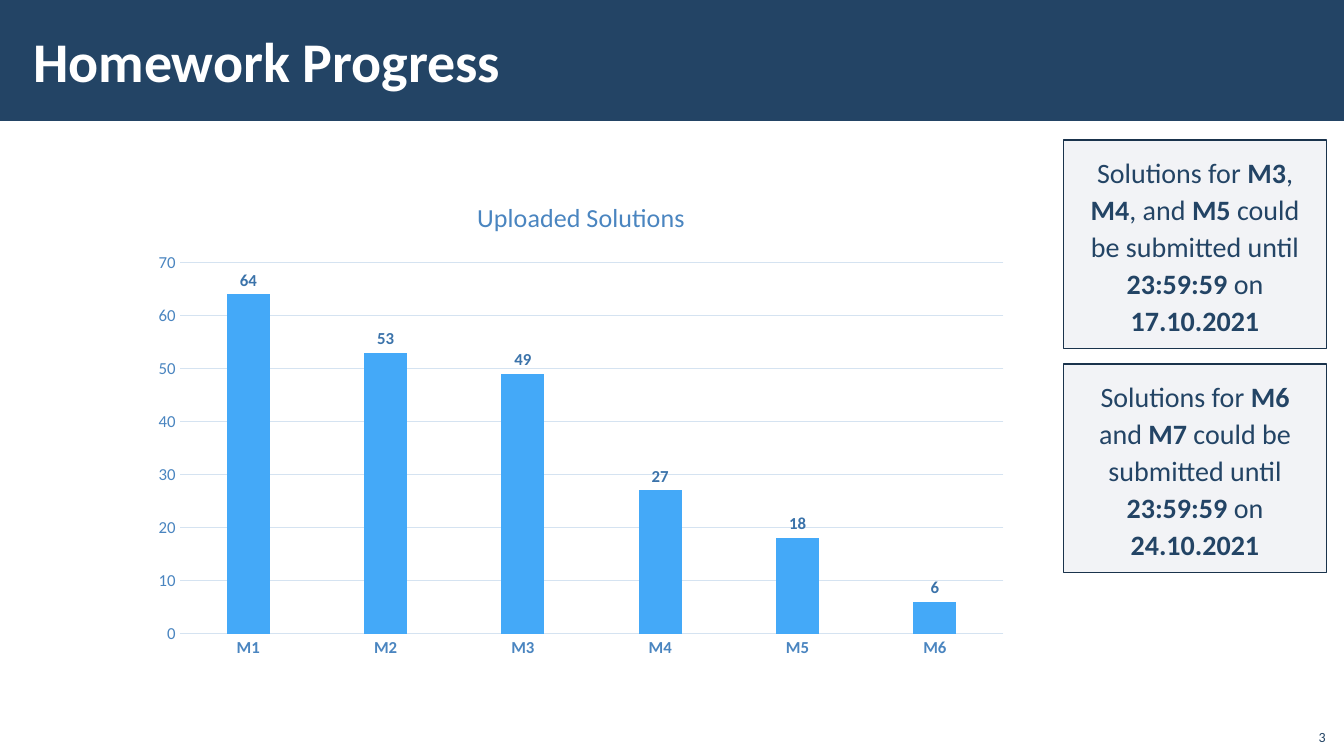
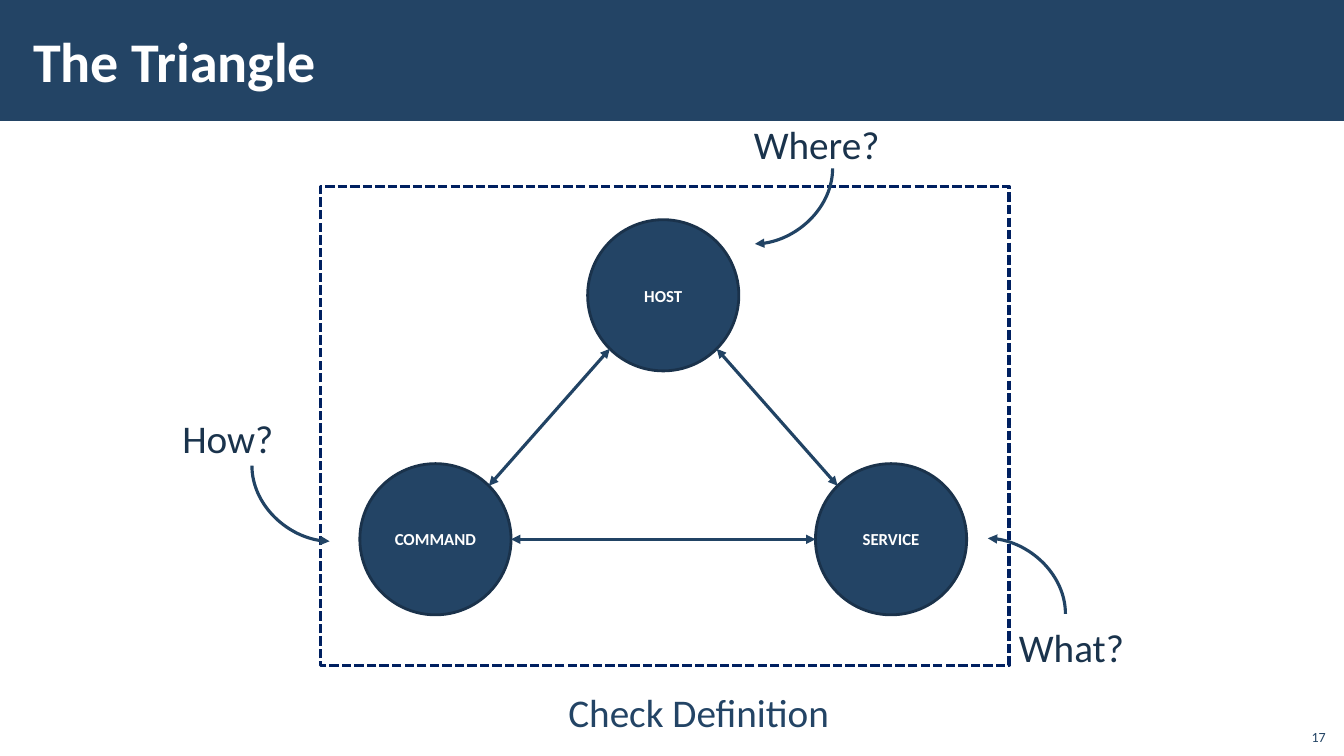
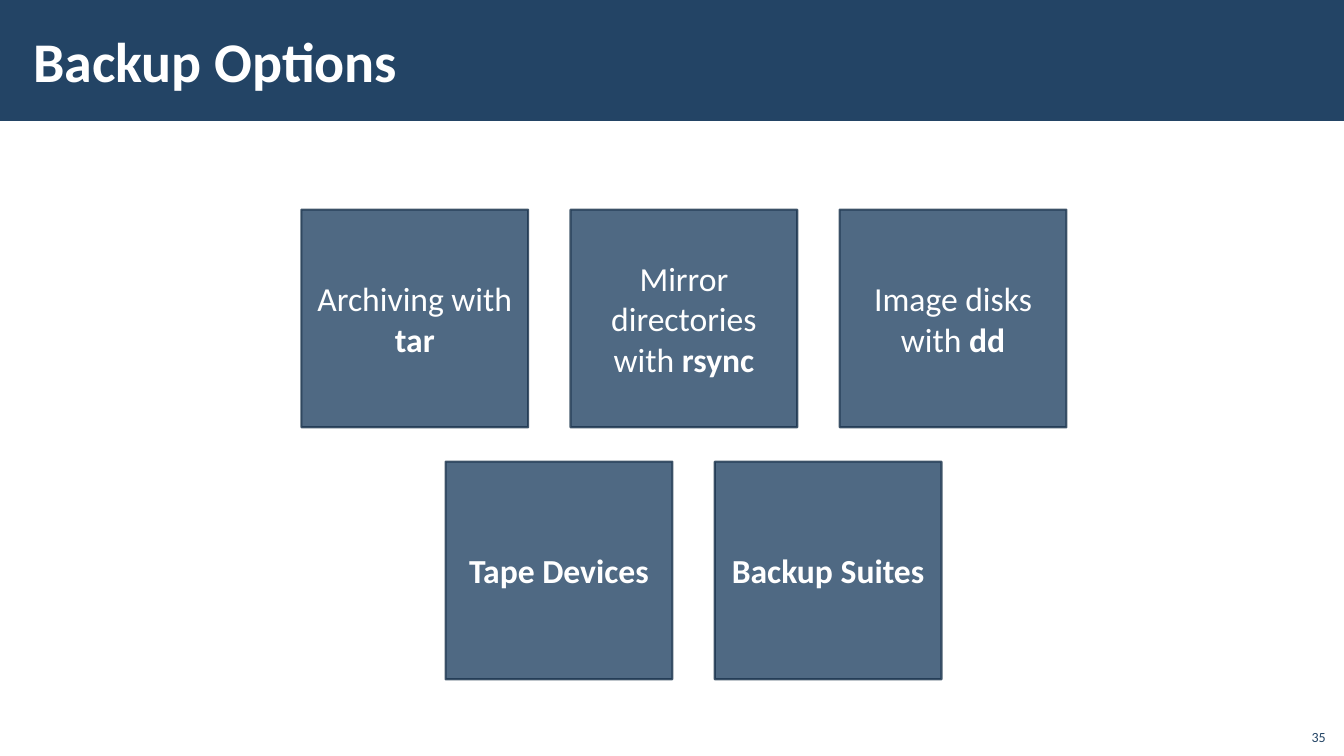
"""Build three course slides: homework chart, check triangle and backup options."""
from lxml import etree
from pptx import Presentation, util as u
from pptx.chart.data import CategoryChartData
from pptx.dml.color import RGBColor
from pptx.enum import chart as ch, dml, shapes as sh, text as tx
from pptx.oxml.ns import qn

cell = u.Inches(0.1)
wide, high = 133.33, 75
face = "Calibri"
navy, dark, white = "234465", "1A334C", "FFFFFF"
pale, sky = "D5E3F1", "4A85C0"
left, mid, right = tx.PP_ALIGN.LEFT, tx.PP_ALIGN.CENTER, tx.PP_ALIGN.RIGHT
top, bot = tx.MSO_ANCHOR.TOP, tx.MSO_ANCHOR.BOTTOM
rect, oval = sh.MSO_SHAPE.RECTANGLE, sh.MSO_SHAPE.OVAL


def tint(fill, hue, alpha=100):
    """Make a fill solid in one colour, with alpha in percent."""
    fill.solid()
    fill.fore_color.rgb = RGBColor.from_string(hue)
    if alpha < 100:
        tone = fill._xPr.eg_fillProperties[0]
        etree.SubElement(tone, qn("a:alpha")).set("val", str(alpha * 1000))


def put(slide, kind, place, words="", size=12, hue=white, fill=None, line=None,
        align=mid, anchor=tx.MSO_ANCHOR.MIDDLE):
    """Place a shape, or a text box without kind; stars enclose bold words."""
    spot = [int(n * cell) for n in place]
    if kind is None:
        box = slide.shapes.add_textbox(*spot)
    else:
        box = slide.shapes.add_shape(kind, *spot)
        box.shadow.inherit = False
        if fill:
            tint(box.fill, *fill)
        else:
            box.fill.background()
        if line:
            tint(box.line.fill, line[0], *line[2:])
            box.line.width = u.Pt(line[1])
        else:
            box.line.fill.background()
    frame = box.text_frame
    frame.word_wrap = kind is not None
    frame.vertical_anchor = anchor
    para = frame.paragraphs[0]
    para.alignment = align
    for i, part in enumerate(words.split("*")):
        if part:
            run = para.add_run()
            run.text = part
            run.font.name, run.font.size, run.font.bold = face, u.Pt(size), i % 2 == 1
            tint(run.font.fill, hue)
    return box


prs = Presentation()
prs.slide_width, prs.slide_height = int(wide * cell), int(high * cell)
plan = prs.slide_layouts[5]
head = plan.placeholders[0]
head.left, head.top, head.width, head.height = [
    int(n * cell) for n in (2.1, 1.1, 106.3, 9.7)]

pages = []
for name, num in (("Homework Progress", 3), ("The Triangle", 17), ("Backup Options", 35)):
    slide = prs.slides.add_slide(plan)
    frame = slide.shapes.title.text_frame
    frame.text = name
    frame.auto_size = tx.MSO_AUTO_SIZE.NONE
    frame.vertical_anchor = tx.MSO_ANCHOR.MIDDLE
    frame.margin_left = frame.margin_right = u.Inches(0.12)
    frame.margin_top = frame.margin_bottom = u.Inches(0.04)
    frame.paragraphs[0].alignment = left
    font = frame.paragraphs[0].runs[0].font
    font.name, font.size, font.bold = face, u.Pt(40), True
    tint(font.fill, white)
    put(slide, None, (128.5, 71.2, 4, 3.2), str(num), 10, navy, align=right, anchor=bot)
    pages.append(slide)
work, tri, back = pages

band = put(work, rect, (0, 0, wide, 12), fill=(navy,))
plan.shapes._spTree.insert(2, band._element)

data = CategoryChartData()
data.categories = [f"M{n}" for n in range(1, 7)]
data.add_series("Uploaded Solutions", (64, 53, 49, 27, 18, 6))
chart = work.shapes.add_chart(
    ch.XL_CHART_TYPE.COLUMN_CLUSTERED,
    *[int(n * cell) for n in (14, 17.8, 87.3, 48.4)], data).chart
chart.font.name, chart.font.size = face, u.Pt(10)
tint(chart.font.fill, navy)
chart.has_legend = False
chart.has_title = True
chart.chart_title.include_in_layout = False
title = chart.chart_title.text_frame
title.text = "Uploaded Solutions"
plot = chart.plots[0]
plot.gap_width, plot.overlap, plot.vary_by_categories = 219, -27, False
tint(plot.series[0].format.fill, "44A9F8")
plot.has_data_labels = True
tags = plot.data_labels
tags.show_value = True
tags.position = ch.XL_LABEL_POSITION.OUTSIDE_END
cat, val = chart.category_axis, chart.value_axis
val.minimum_scale, val.maximum_scale, val.major_unit = 0, 70, 10
for axis in (cat, val):
    axis.major_tick_mark = axis.minor_tick_mark = ch.XL_TICK_MARK.NONE
val.format.line.fill.background()
for line in (cat.format.line, val.major_gridlines.format.line):
    tint(line.fill, pale)
    line.width = u.Pt(0.75)
for font, size, hue, bold in (
        (title.paragraphs[0].runs[0].font, 18.6, sky, False),
        (cat.tick_labels.font, 12, sky, True),
        (val.tick_labels.font, 12, sky, False),
        (tags.font, 12, "3B73AA", True)):
    font.name, font.size, font.bold = face, u.Pt(size), bold
    tint(font.fill, hue)

for row, (tasks, day) in enumerate((("*M3*, *M4*, and *M5*", 17), ("*M6* and *M7*", 24))):
    note = put(work, rect, (105.5, 13.9 + 22.2 * row, 26.1, 20.7),
               f"Solutions for {tasks} could be submitted until *23:59:59* on* {day}.10.2021*",
               20, navy, ("ADB4C3", 15), (dark, 1), anchor=top)
    frame = note.text_frame
    frame.margin_left = frame.margin_right = u.Inches(0.16)
    frame.margin_top = frame.margin_bottom = u.Inches(0.12)
    frame.paragraphs[0].line_spacing = 1.1

rad = 7.5
diag = rad * 0.5 ** 0.5
hx, hy = 65.8, 29.3
cx, sx, low = hx - 22.6, hx + 22.6, 53.5
for name, x, y in (("HOST", hx, hy), ("COMMAND", cx, low), ("SERVICE", sx, low)):
    put(tri, oval, (x - rad, y - rad, 2 * rad, 2 * rad), f"*{name}*",
        fill=(navy,), line=("1A324B", 2))
edge = put(tri, rect, (31.8, 18.5, 68.3, 47.5), line=("002060", 2.25))
edge.line.dash_style = dml.MSO_LINE.SQUARE_DOT
for words, x, y, w, hue in (
        ("Check Definition", 55.4, 67.8, 28.2, navy), ("How?", 17.1, 40.6, 11.2, dark),
        ("Where?", 73.8, 11.4, 14.6, dark), ("What?", 100.1, 61.3, 12.6, dark)):
    put(tri, None, (x, y, w, 5.7), words, 28, hue, align=left, anchor=top)

flat, bent = sh.MSO_CONNECTOR.STRAIGHT, sh.MSO_CONNECTOR.CURVE
for kind, *ends in (
        (flat, hx - diag, hy + diag, cx + diag, low - diag),
        (flat, hx + diag, hy + diag, sx - diag, low - diag),
        (flat, cx + rad, low, sx - rad, low),
        (bent, 32.7, 53.7, 25, 46.2),
        (bent, 74.9, 24.2, 82.6, 16.7),
        (bent, 98, 53.4, 105.7, 60.9)):
    link = tri.shapes.add_connector(kind, *[int(n * cell) for n in ends])
    tint(link.line.fill, "214364")
    link.line.width = u.Pt(2.25)
    props = link._element.spPr
    etree.SubElement(props, qn("a:effectLst"))
    tips = ["headEnd"]
    if kind == bent:
        props.find(qn("a:prstGeom")).set("prst", "curvedConnector2")
    else:
        tips.append("tailEnd")
    for tip in tips:
        etree.SubElement(props.find(qn("a:ln")), qn(f"a:{tip}")).set("type", "triangle")

for x, y, row in (
        (29.9, 20.8, ("Archiving with *tar*", "Mirror directories with *rsync*",
                      "Image disks with *dd*")),
        (44.2, 45.8, ("*Tape Devices*", "*Backup Suites*"))):
    for col, words in enumerate(row):
        put(back, rect, (x + 26.7 * col, y, 22.5, 21.6), words, 24,
            fill=(navy, 80), line=(dark, 1.5, 80))

prs.save("out.pptx")
